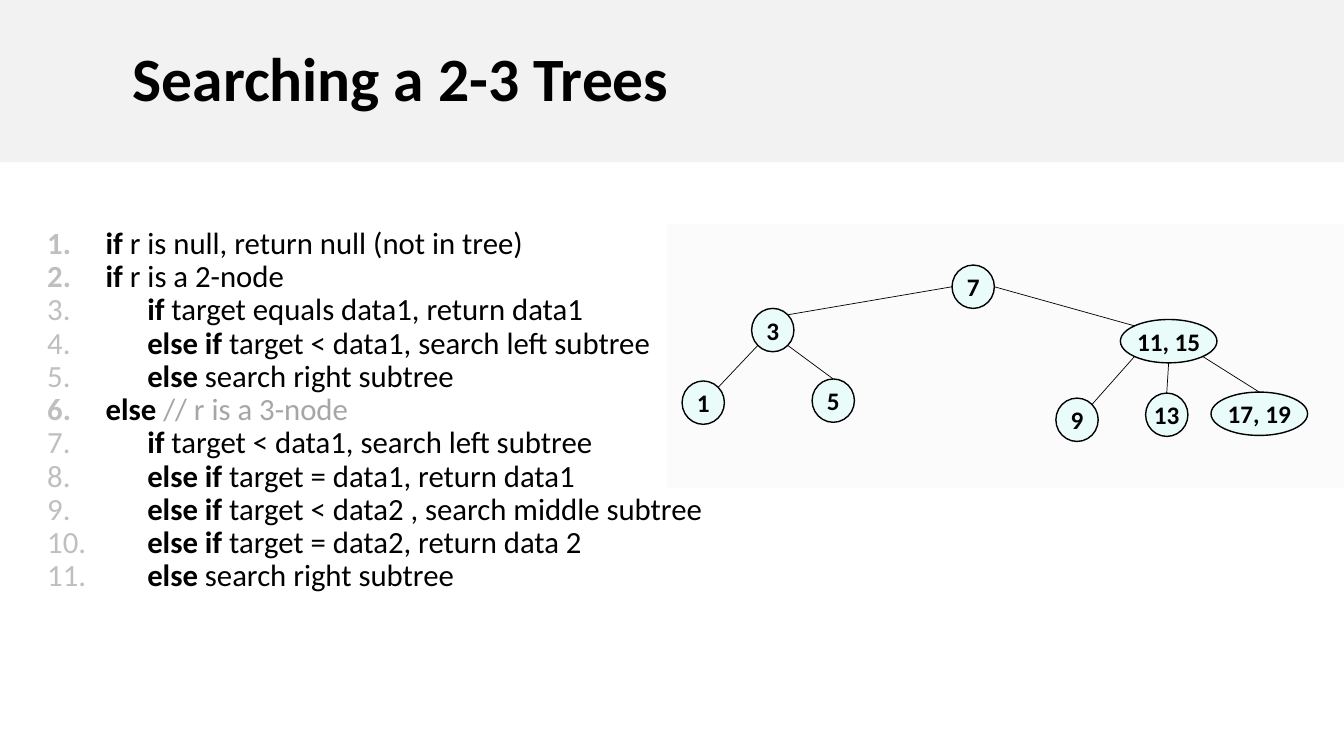
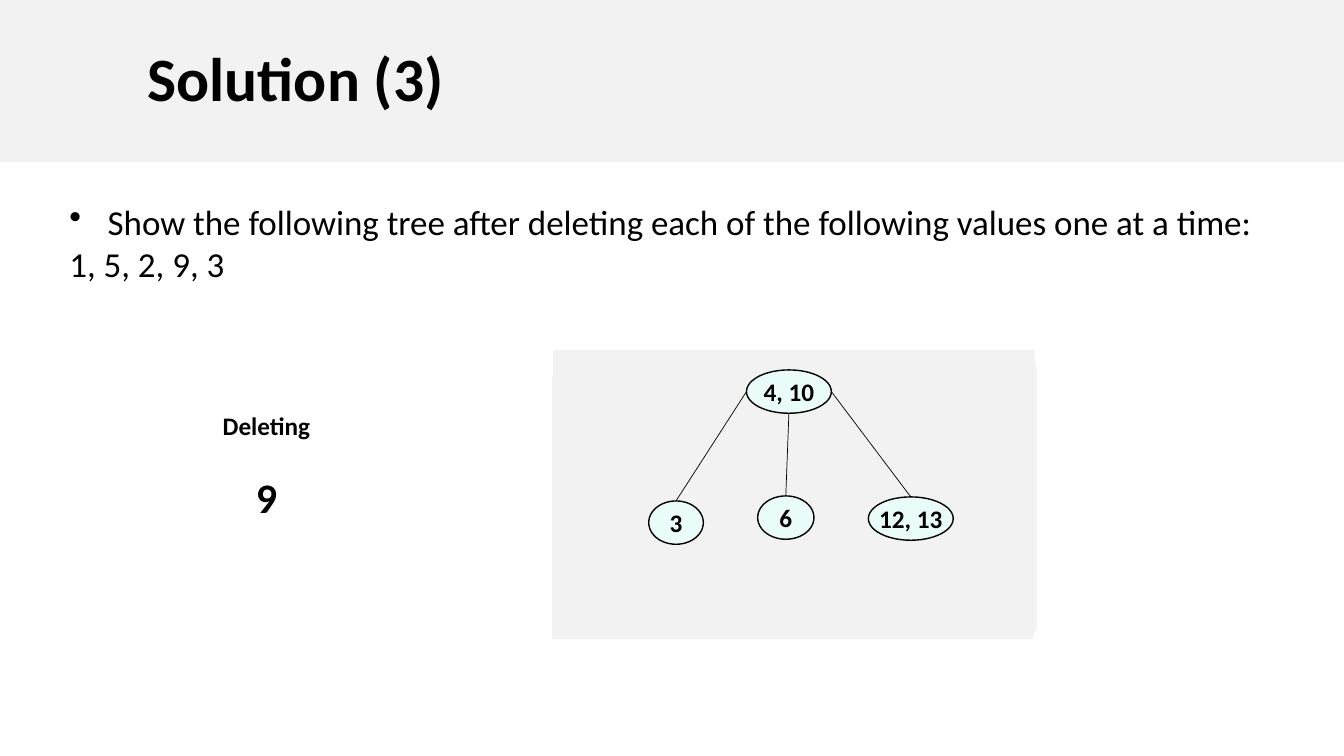
import math
from collections import namedtuple

import lxml.etree
import pptx
import pptx.dml.color
import pptx.enum.shapes
import pptx.enum.text
import pptx.oxml
import pptx.oxml.ns
import pptx.util

RGBColor = pptx.dml.color.RGBColor
Shape = pptx.enum.shapes.MSO_SHAPE
Align = pptx.enum.text.PP_ALIGN
Anchor = pptx.enum.text.MSO_ANCHOR

BLACK = RGBColor(0x00, 0x00, 0x00)
BAND_GRAY = RGBColor(0xF2, 0xF2, 0xF2)
PANEL_GRAY = RGBColor(0xFB, 0xFB, 0xFB)
NODE_FILL = RGBColor(0xEA, 0xFC, 0xFA)
NUMBER_GRAY = RGBColor(0xBF, 0xBF, 0xBF)
COMMENT_GRAY = RGBColor(0xA6, 0xA6, 0xA6)

FONT = "Calibri"
SLIDE_WIDTH = pptx.util.Inches(13.34)
SLIDE_HEIGHT = pptx.util.Inches(7.5)
COLUMN = SLIDE_WIDTH / 160
ROW = SLIDE_HEIGHT / 90

Box = namedtuple("Box", "left top width height")
Node = namedtuple("Node", "label x y width")
Edge = namedtuple("Edge", "parent parent_side child child_side")

BAND = Box(0, 0, 160, 19.32)
NODE_HEIGHT = 5.16
DIAGONAL = math.sqrt(0.5)
SIDES = {
    "top": (0, -1),
    "bottom": (0, 1),
    "left": (-1, 0),
    "right": (1, 0),
    "top left": (-DIAGONAL, -DIAGONAL),
    "top right": (DIAGONAL, -DIAGONAL),
    "bottom left": (-DIAGONAL, DIAGONAL),
    "bottom right": (DIAGONAL, DIAGONAL),
}

SEARCH_BOX = Box(79.4, 26.64, 80.6, 31.44)
SEARCH_NODES = [
    Node("7", 36.46, 7.5, 5.04),
    Node("3", 12.6, 12.66, 5.04),
    Node("11, 15", 59.73, 13.98, 11.5),
    Node("1", 4.32, 21.3, 5.04),
    Node("5", 19.8, 21.06, 5.04),
    Node("9", 48.82, 23.34, 5.04),
    Node("13", 59.5, 22.74, 5.04),
    Node("17, 19", 70.52, 22.62, 11.5),
]
SEARCH_EDGES = [
    Edge("7", "left", "3", "top right"),
    Edge("7", "right", "11, 15", "top left"),
    Edge("3", "bottom left", "1", "top right"),
    Edge("3", "bottom right", "5", "top"),
    Edge("11, 15", "bottom left", "9", "top right"),
    Edge("11, 15", "bottom", "13", "top"),
    Edge("11, 15", "bottom right", "17, 19", "top"),
]
SEARCH_STEPS = [
    "|if| r is null, return null (not in tree)",
    "|if |r is a 2-node",
    "      |if| target equals data1, return data1",
    "      |else if| target < data1, search left subtree",
    "      |else| search right subtree",
    "|else |// r is a 3-node",
    "      |if| target < data1, search left subtree",
    "      |else if |target = data1, return data1",
    "      |else if| target < data2 , search middle subtree",
    "      |else if |target = data2, return data 2",
    "      |else |search right subtree",
]

SOLUTION_BOX = Box(65.85, 41.64, 57.33, 31.32)
SOLUTION_LAYERS = [(0, 1.32), (-0.12, 3.12), (0.12, 1.8), (0.24, 2.16), (0, 0)]
SOLUTION_NODES = [
    Node("4, 10", 28.07, 4.98, 10.1),
    Node("3", 14.63, 20.58, 6.5),
    Node("6", 27.7, 19.98, 6.7),
    Node("12, 13", 42.58, 20.1, 10.1),
]
SOLUTION_EDGES = [
    Edge("4, 10", "left", "3", "top"),
    Edge("4, 10", "bottom", "6", "top"),
    Edge("4, 10", "right", "12, 13", "top"),
]


def to_lengths(box):
    """Turn a box in grid cells into slide lengths."""
    return (round(box.left * COLUMN), round(box.top * ROW),
            round(box.width * COLUMN), round(box.height * ROW))


def format_run(run, size, bold=False, color=BLACK):
    """Give a run its font."""
    run.font.name = FONT
    run.font.size = pptx.util.Pt(size)
    run.font.bold = bold
    run.font.color.rgb = color


def add_filled_shape(slide, kind, box, color):
    """Add a flat shape without outline."""
    shape = slide.shapes.add_shape(kind, *to_lengths(box))
    shape.shadow.inherit = False
    shape.fill.solid()
    shape.fill.fore_color.rgb = color
    shape.line.fill.background()
    return shape


def add_text_box(slide, box):
    """Add a wrapping text box and return its text frame."""
    text_frame = slide.shapes.add_textbox(*to_lengths(box)).text_frame
    text_frame.word_wrap = True
    return text_frame


def add_bullet(paragraph, indent, color, tag, **attributes):
    """Give a paragraph a hanging bullet or number."""
    properties = paragraph._p.get_or_add_pPr()
    properties.set("marL", str(pptx.util.Inches(indent)))
    properties.set("indent", str(-pptx.util.Inches(indent)))
    bullet_color = lxml.etree.SubElement(properties, pptx.oxml.ns.qn("a:buClr"))
    lxml.etree.SubElement(bullet_color, pptx.oxml.ns.qn("a:srgbClr"), val=str(color))
    lxml.etree.SubElement(properties, pptx.oxml.ns.qn(tag), **attributes)


def add_title_slide(presentation, title, indent):
    """Add a blank slide with the title band."""
    slide = presentation.slides.add_slide(presentation.slide_layouts[6])
    text_frame = add_filled_shape(slide, Shape.RECTANGLE, BAND, BAND_GRAY).text_frame
    text_frame.margin_left = round(indent * COLUMN)
    text_frame.vertical_anchor = Anchor.MIDDLE
    text_frame.text = title
    paragraph = text_frame.paragraphs[0]
    paragraph.alignment = Align.LEFT
    paragraph.line_spacing = 0.9
    format_run(paragraph.runs[0], 44, bold=True)
    return slide


def add_node(slide, box, node):
    """Add one labelled tree node inside the box."""
    node_box = Box(box.left + node.x - node.width / 2,
                   box.top + node.y - NODE_HEIGHT / 2, node.width, NODE_HEIGHT)
    shape = add_filled_shape(slide, Shape.OVAL, node_box, NODE_FILL)
    shape.line.color.rgb = BLACK
    shape.line.width = pptx.util.Pt(1)
    text_frame = shape.text_frame
    text_frame.margin_left = text_frame.margin_right = 0
    text_frame.margin_top = text_frame.margin_bottom = 0
    text_frame.word_wrap = False
    text_frame.vertical_anchor = Anchor.MIDDLE
    text_frame.text = node.label
    text_frame.paragraphs[0].alignment = Align.CENTER
    format_run(text_frame.paragraphs[0].runs[0], 18, bold=True)


def find_side(box, node, side):
    """Return the point on the outline of a node at the given side."""
    across, down = SIDES[side]
    return (round((box.left + node.x + across * node.width / 2) * COLUMN),
            round((box.top + node.y + down * NODE_HEIGHT / 2) * ROW))


def add_tree(slide, box, nodes, edges):
    """Add the nodes of a tree and the lines between them."""
    by_label = {node.label: node for node in nodes}
    for node in nodes:
        add_node(slide, box, node)
    for edge in edges:
        start = find_side(box, by_label[edge.parent], edge.parent_side)
        end = find_side(box, by_label[edge.child], edge.child_side)
        connector = slide.shapes.add_connector(
            pptx.enum.shapes.MSO_CONNECTOR.STRAIGHT, *start, *end)
        connector.line.color.rgb = BLACK
        connector.line.width = pptx.util.Pt(0.5)
        lxml.etree.SubElement(connector._element.spPr, pptx.oxml.ns.qn("a:effectLst"))


def add_steps(slide, box, steps):
    """Add numbered pseudocode whose keywords stand between bars."""
    text_frame = add_text_box(slide, box)
    for index, step in enumerate(steps):
        paragraph = text_frame.add_paragraph() if index else text_frame.paragraphs[0]
        add_bullet(paragraph, 0.58, NUMBER_GRAY, "a:buAutoNum", type="arabicPeriod")
        paragraph.line_spacing = 0.9
        for position, piece in enumerate(step.split("|")):
            if piece:
                run = paragraph.add_run()
                run.text = piece
                color = COMMENT_GRAY if piece.startswith("//") else BLACK
                format_run(run, 22, bold=position == 1, color=color)


def add_question(slide, box, question, values):
    """Add the bulleted question and the values below it."""
    text_frame = add_text_box(slide, box)
    text_frame.text = f"{question}\n{values}"
    add_bullet(text_frame.paragraphs[0], 0.38, BLACK, "a:buChar", char="•")
    for paragraph in text_frame.paragraphs:
        format_run(paragraph.runs[0], 25)


def add_deleted_value(slide, box, caption, value):
    """Add the caption with the deleted value centred below it."""
    text_frame = add_text_box(slide, box)
    text_frame.word_wrap = False
    text_frame.text = f"{caption}\n{value}"
    for paragraph, size in zip(text_frame.paragraphs, (18, 30)):
        paragraph.alignment = Align.CENTER
        format_run(paragraph.runs[0], size, bold=True)
    text_frame.paragraphs[1].space_before = pptx.util.Pt(22)


def add_search_slide(presentation):
    """Add the slide on searching."""
    slide = add_title_slide(presentation, "Searching a 2-3 Trees", 15.8)
    add_filled_shape(slide, Shape.RECTANGLE, SEARCH_BOX, PANEL_GRAY)
    add_tree(slide, SEARCH_BOX, SEARCH_NODES, SEARCH_EDGES)
    add_steps(slide, Box(4.44, 26.52, 81.44, 44.76), SEARCH_STEPS)


def add_solution_slide(presentation):
    """Add the slide on deleting."""
    slide = add_title_slide(presentation, "Solution (3)", 17.6)
    add_question(
        slide, Box(7.08, 23.28, 146.7, 11.28),
        "Show the following tree after deleting each of the following values one at a time:",
        "1, 5, 2, 9, 3")
    add_deleted_value(slide, Box(25.3, 48.24, 12.83, 14.4), "Deleting", "9")
    for across, down in SOLUTION_LAYERS:
        layer = SOLUTION_BOX._replace(left=SOLUTION_BOX.left + across,
                                      top=SOLUTION_BOX.top + down)
        add_filled_shape(slide, Shape.RECTANGLE, layer, BAND_GRAY)
    add_tree(slide, SOLUTION_BOX, SOLUTION_NODES, SOLUTION_EDGES)


def main():
    """Build and save the presentation."""
    presentation = pptx.Presentation()
    presentation.slide_width = SLIDE_WIDTH
    presentation.slide_height = SLIDE_HEIGHT
    add_search_slide(presentation)
    add_solution_slide(presentation)
    presentation.save("out.pptx")


if __name__ == "__main__":
    main()
